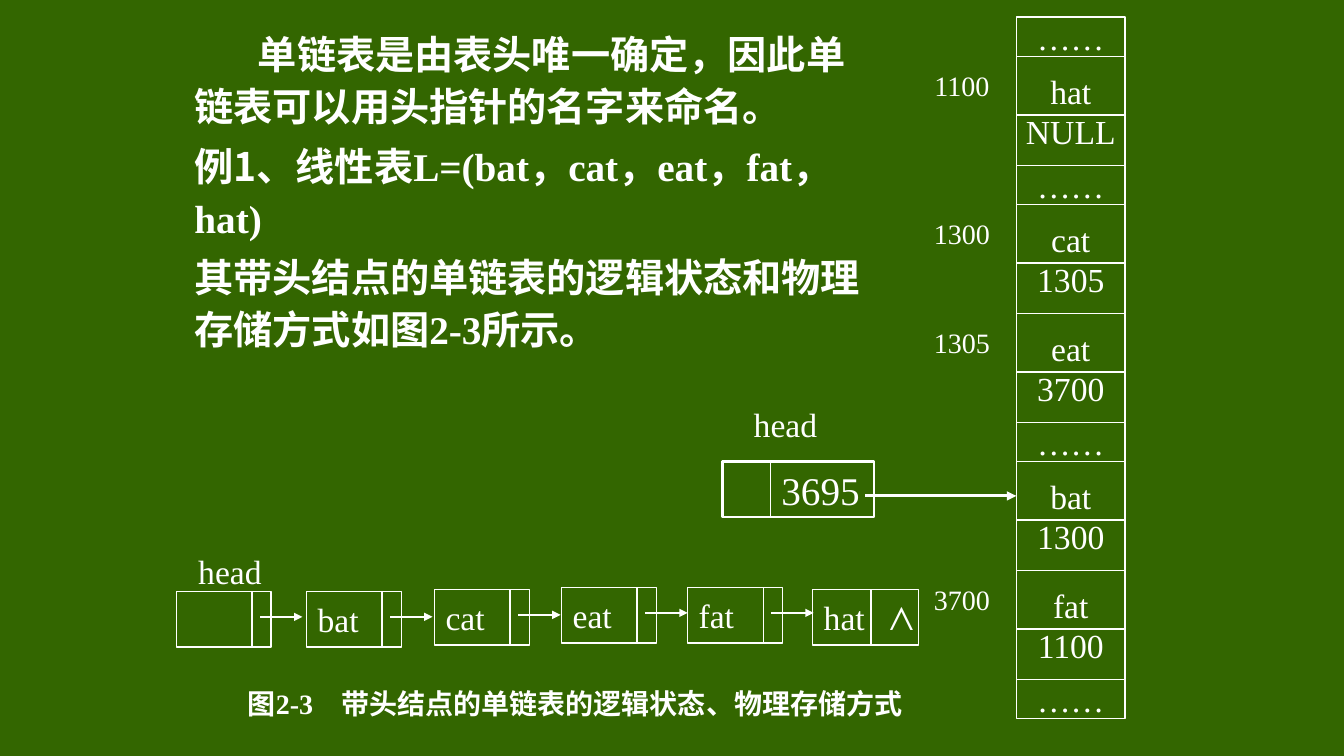
from lxml import etree
from pptx import Presentation
from pptx.dml.color import RGBColor
from pptx.enum import shapes, text
from pptx.oxml import ns
from pptx.util import Inches, Pt

GREEN = RGBColor(0x33, 0x66, 0x00)
WHITE = RGBColor(0xFF, 0xFF, 0xFF)
SERIF = "Times New Roman"
SANS = "Noto Sans CJK SC"
MID = text.MSO_ANCHOR.MIDDLE
TOP = text.MSO_ANCHOR.TOP
LEFT = text.PP_ALIGN.LEFT
CENTER = text.PP_ALIGN.CENTER

DOTS = "……"
MEMORY = [
    (DOTS,),
    ("hat", "NULL", "1100"),
    (DOTS,),
    ("cat", "1305", "1300"),
    ("eat", "3700", "1305"),
    (DOTS,),
    ("bat", "1300", ""),
    ("fat", "1100", "3700"),
    (DOTS,),
]
NODES = [
    ("", 1.75, 5.87),
    ("bat", 3.04, 5.87),
    ("cat", 4.31, 5.85),
    ("eat", 5.57, 5.83),
    ("fat", 6.82, 5.83),
]
BODY = [
    [("单链表是由表头唯一确定，因此单链表可以用头指针的名字来命名。", SERIF)],
    [("例1、线性表", SANS), ("L=(bat，cat，eat，fat，hat)", SERIF)],
    [("其带头结点的单链表的逻辑状态和物理存储方式如图2-3所示。", SERIF)],
]
CAPTION = [[("图", SANS), ("2-3　", SERIF), ("带头结点的单链表的逻辑状态、物理存储方式", SANS)]]


def apply(item, values):
    for name, value in values.items():
        setattr(item, name, value)


def plain(*lines):
    return [[(line, SERIF)] for line in lines]


def write(shape, paras, size=24, bold=False, align=CENTER, anchor=MID,
          wrap=False, pad=(0, 0, 0, 0), **form):
    frame = shape.text_frame
    sides = ("margin_left", "margin_top", "margin_right", "margin_bottom")
    apply(frame, {side: Inches(gap) for side, gap in zip(sides, pad)})
    apply(frame, {"word_wrap": wrap, "vertical_anchor": anchor})
    for i, parts in enumerate(paras):
        para = frame.add_paragraph() if i else frame.paragraphs[0]
        apply(para, {"alignment": align, **form})
        for words, face in parts:
            run = para.add_run()
            run.text = words
            apply(run.font, {"name": face, "size": Pt(size), "bold": bold})
            run.font.color.rgb = WHITE
            east = etree.SubElement(run.font._element, ns.qn("a:ea"))
            east.set("typeface", SANS)
    return frame


def label(slide, box, paras, **form):
    shape = slide.shapes.add_textbox(*map(Inches, box))
    return write(shape, paras, **form)


def rect(slide, box, width=1):
    shape = slide.shapes.add_shape(shapes.MSO_SHAPE.RECTANGLE, *map(Inches, box))
    shape.shadow.inherit = False
    shape.fill.background()
    shape.line.color.rgb = WHITE
    shape.line.width = Pt(width)
    return shape


def line(slide, start, end, width=1, arrow=False):
    link = slide.shapes.add_connector(
        shapes.MSO_CONNECTOR.STRAIGHT, *map(Inches, start + end))
    link.line.color.rgb = WHITE
    link.line.width = Pt(width)
    if arrow:
        tail = etree.SubElement(link.line._get_or_add_ln(), ns.qn("a:tailEnd"))
        tail.set("type", "triangle")
    etree.SubElement(link._element.spPr, ns.qn("a:effectLst"))


def memory(slide):
    x, y, wide = 10.08, 0.17, 1.08
    for row in MEMORY:
        if row[0] == DOTS:
            high = 0.39
            write(rect(slide, (x, y, wide, high)), plain(DOTS), space_before=Pt(4.8))
        else:
            high = 1.08
            data, link, place = row
            write(rect(slide, (x, y, wide, high)), plain(data, link))
            line(slide, (x, y + 0.58), (x + wide, y + 0.58))
            if place:
                label(slide, (9, y, wide, 0.57), plain(place), size=20)
        y += high


def node(slide, name, x, y, wide=0.94, split=0.75):
    high = 0.55
    shape = rect(slide, (x, y, wide, high))
    line(slide, (x + split, y), (x + split, y + high))
    if name:
        return write(shape, plain(name), align=LEFT, wrap=True, pad=(0.11, 0, 0, 0))


def chain(slide):
    label(slide, (1.82, 5.42, 0.92, 0.5), plain("head"))
    for name, x, y in NODES:
        node(slide, name, x, y)
        line(slide, (x + 0.83, y + 0.25), (x + 1.25, y + 0.25), arrow=True)
    last = node(slide, "hat\t⋀", 8.06, 5.85, 1.05, 0.58)
    props = last.paragraphs[0]._p.get_or_add_pPr()
    tabs = etree.SubElement(props, ns.qn("a:tabLst"))
    stop = etree.SubElement(tabs, ns.qn("a:tab"))
    stop.set("pos", str(Inches(0.65)))
    stop.set("algn", "l")


def head(slide):
    label(slide, (7.33, 4, 0.92, 0.42), plain("head"))
    write(rect(slide, (7.17, 4.58, 1.5, 0.55), 2), plain("3695"), size=28,
          align=LEFT, anchor=TOP, pad=(0.58, 0.05, 0, 0.05), space_before=Pt(5.6))
    line(slide, (7.64, 4.58), (7.64, 5.13))
    line(slide, (8.58, 4.92), (10.08, 4.92), 2.25, True)


def main():
    deck = Presentation()
    apply(deck, {"slide_width": Inches(13.33), "slide_height": Inches(7.5)})
    slide = deck.slides.add_slide(deck.slide_layouts[6])
    slide.background.fill.solid()
    slide.background.fill.fore_color.rgb = GREEN
    pad = (0.1, 0.05, 0.1, 0.05)
    head(slide)
    memory(slide)
    chain(slide)
    label(slide, (2.22, 6.74, 6.97, 0.47), CAPTION, size=20, bold=True,
          wrap=True, pad=pad)
    body = label(slide, (1.83, 0.21, 6.92, 3.37), BODY, size=28, bold=True,
                 align=LEFT, anchor=TOP, wrap=True, pad=pad,
                 line_spacing=1.1, space_before=Pt(5.6))
    body.paragraphs[0]._p.get_or_add_pPr().set("indent", str(Inches(0.63)))
    deck.save("out.pptx")


if __name__ == "__main__":
    main()
